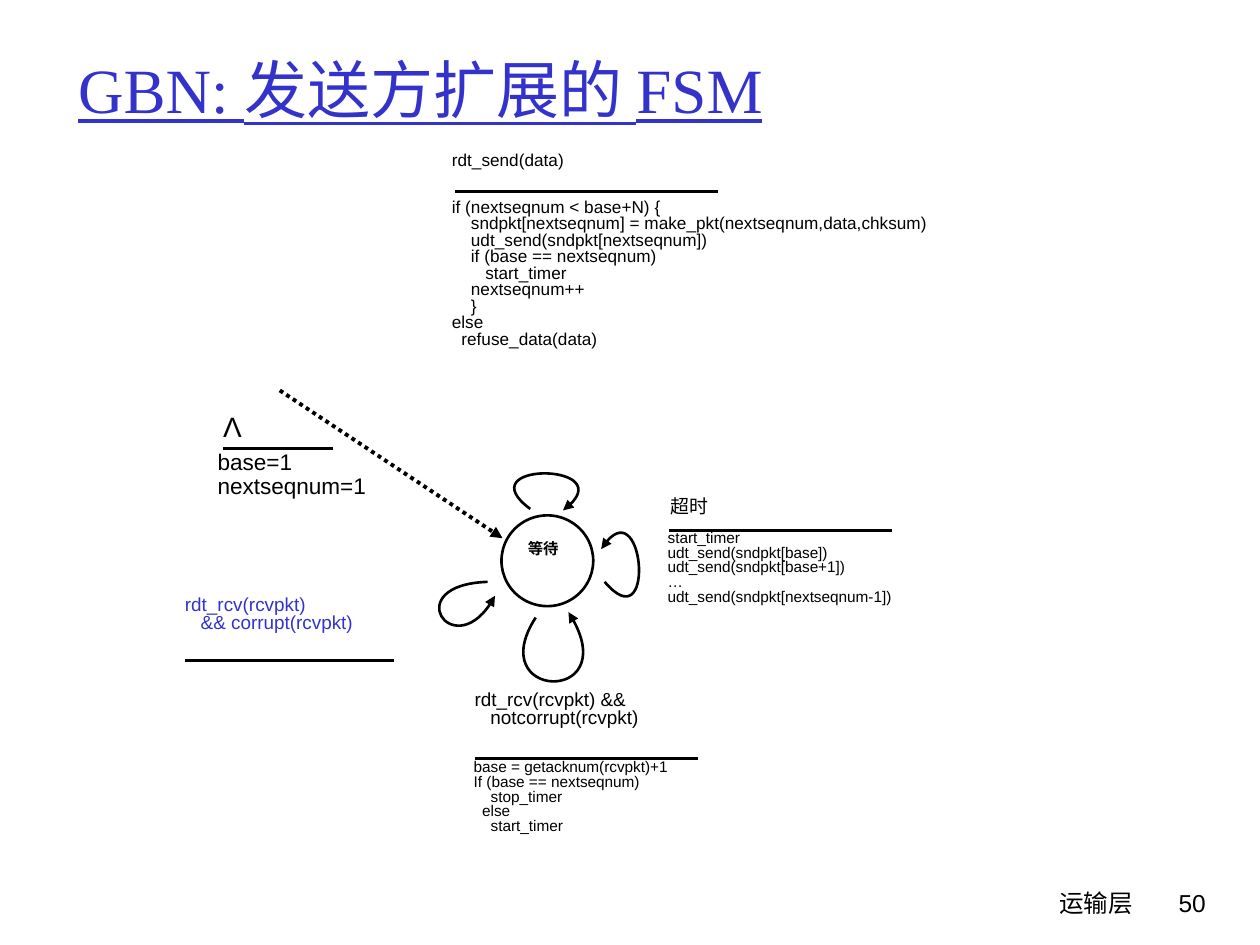
from dataclasses import dataclass

from pptx import Presentation
from pptx.dml.color import RGBColor
from pptx.enum.dml import MSO_LINE_DASH_STYLE as Dash
from pptx.enum.shapes import MSO_CONNECTOR_TYPE as Connector, MSO_SHAPE as Shape
from pptx.enum.text import MSO_ANCHOR as Anchor, MSO_AUTO_SIZE as AutoSize, PP_ALIGN as Align
from pptx.oxml.ns import qn
from pptx.oxml.xmlchemy import OxmlElement
from pptx.util import Cm, Pt

BLACK, BLUE, WHITE = "000000", "3333CC", "FFFFFF"
THIN, THICK = 1.5, 2.25


@dataclass
class Label:
    place: tuple  # left, top, width, height in cm
    text: str
    size: float
    color: str = BLACK
    font: str = "Arial"
    bold: bool = False
    underline: bool = False
    align: Align = Align.LEFT
    spacing: float = 0.8
    wrap: bool = True


@dataclass
class Rule:
    left: float
    right: float
    y: float
    weight: float = THIN


@dataclass
class Loop:
    start: tuple
    first_control: tuple
    second_control: tuple
    end: tuple


def rgb(value: str) -> RGBColor:
    return RGBColor.from_string(value)


def lengths(values: tuple) -> list:
    return [Cm(value) for value in values]


def write(box, label: Label) -> None:
    frame = box.text_frame
    frame.word_wrap = label.wrap
    frame.auto_size = AutoSize.NONE
    frame.text = label.text
    font_format = {"size": Pt(label.size), "name": label.font,
                   "bold": label.bold, "underline": label.underline}
    for para in frame.paragraphs:
        para.alignment = label.align
        para.line_spacing = label.spacing
        for span in para.runs:
            for name, value in font_format.items():
                setattr(span.font, name, value)
            span.font.color.rgb = rgb(label.color)


def add_label(page, label: Label) -> None:
    write(page.shapes.add_textbox(*lengths(label.place)), label)


def style_line(line, weight: float) -> None:
    line.color.rgb = rgb(BLACK)
    line.width = Pt(weight)


def add_arrowhead(line) -> None:
    head = OxmlElement("a:tailEnd")
    head.set("type", "triangle")
    line._get_or_add_ln().append(head)


def add_line(page, start: tuple, end: tuple, weight: float):
    line = page.shapes.add_connector(Connector.STRAIGHT, *lengths(start + end))
    style_line(line.line, weight)
    line._element.spPr.append(OxmlElement("a:effectLst"))
    return line


def add_loop(page, loop: Loop) -> None:
    corners = (loop.first_control, loop.second_control, loop.end)
    builder = page.shapes.build_freeform(*lengths(loop.start))
    builder.add_line_segments([lengths(point) for point in corners], close=False)
    curve = builder.convert_to_shape()

    # Turn the three segments into one cubic curve
    outline = next(curve._element.iter(qn("a:path")))
    cubic = OxmlElement("a:cubicBezTo")
    for segment in outline.findall(qn("a:lnTo")):
        cubic.append(segment[0])
        outline.remove(segment)
    outline.append(cubic)

    curve.shadow.inherit = False
    curve.fill.background()
    style_line(curve.line, THIN)
    add_arrowhead(curve.line)


TITLE = Label((1.32, 0.81, 21.59, 1.96), "GBN: 发送方扩展的 FSM", 36, BLUE,
              "Times New Roman", underline=True, spacing=1)

SEND_ACTIONS = """if (nextseqnum < base+N) {
    sndpkt[nextseqnum] = make_pkt(nextseqnum,data,chksum)
    udt_send(sndpkt[nextseqnum])
    if (base == nextseqnum)
       start_timer
    nextseqnum++
    }
else
  refuse_data(data)"""

TIMEOUT_ACTIONS = """start_timer
udt_send(sndpkt[base])
udt_send(sndpkt[base+1])
…
udt_send(sndpkt[nextseqnum-1])"""

ACK_ACTIONS = """base = getacknum(rcvpkt)+1
If (base == nextseqnum)
    stop_timer
  else
    start_timer"""

LABELS = [
    # Footer and slide number
    Label((15.04, 17.78, 8.05, 1.27), "运输层", 14, font="Comic Neue",
          align=Align.RIGHT, spacing=1),
    Label((22.68, 17.78, 1.88, 1.27), "50", 14, align=Align.RIGHT, spacing=1),
    # State name
    Label((9.83, 10.82, 2.24, 0.66), "等待", 8.8, bold=True, align=Align.CENTER),
    # Data to send
    Label((8.86, 2.97, 6.48, 0.71), "rdt_send(data)", 9.8),
    Label((8.86, 3.91, 15.34, 4.06), SEND_ACTIONS, 9.8),
    # Timeout
    Label((13.26, 9.93, 3.05, 0.76), "超时", 10.8),
    Label((13.21, 10.59, 7.72, 2.31), TIMEOUT_ACTIONS, 8.8),
    # Intact acknowledgement
    Label((9.32, 13.82, 7.87, 1.24), "rdt_rcv(rcvpkt) &&\n   notcorrupt(rcvpkt)", 10.8),
    Label((9.3, 15.21, 10.24, 2.31), ACK_ACTIONS, 8.8),
    # Corrupt acknowledgement
    Label((3.48, 11.91, 5.69, 1.24), "rdt_rcv(rcvpkt)\n   && corrupt(rcvpkt)", 10.8, BLUE),
    # Start
    Label((4.24, 8.13, 0.89, 0.94), "Λ", 16, align=Align.CENTER, spacing=1, wrap=False),
    Label((4.14, 8.97, 4.11, 1.4), "base=1\nnextseqnum=1", 12.9, spacing=0.9),
]

RULES = [
    Rule(9.17, 14.48, 3.86, THICK),
    Rule(13.49, 17.98, 10.69),
    Rule(9.58, 14.07, 15.29, THICK),
    Rule(3.73, 7.95, 13.31),
    Rule(4.5, 6.71, 9.04),
]

LOOPS = [
    Loop((10.69, 10.26), (9.42, 9.32), (12.65, 9.32), (11.35, 10.29)),  # send
    Loop((12.19, 11.73), (13.21, 12.93), (12.98, 9.73), (12.12, 11.07)),  # timeout
    Loop((10.8, 12.45), (9.73, 14.1), (12.67, 14.22), (11.46, 12.34)),  # intact
    Loop((9.83, 11.73), (8.05, 11.79), (9.19, 13.49), (9.98, 12.01)),  # corrupt
]


def main() -> None:
    deck = Presentation()
    deck.slide_width, deck.slide_height = Cm(25.4), Cm(19.05)
    page = deck.slides.add_slide(deck.slide_layouts[5])

    # Title
    title = page.shapes.title
    title.left, title.top, title.width, title.height = lengths(TITLE.place)
    write(title, TITLE)
    title.text_frame.vertical_anchor = Anchor.MIDDLE

    # Waiting state and the arrow into it
    state = page.shapes.add_shape(Shape.OVAL, *lengths((10.11, 10.39, 1.85, 1.83)))
    state.shadow.inherit = False
    state.fill.solid()
    state.fill.fore_color.rgb = rgb(WHITE)
    style_line(state.line, THIN)
    entry = add_line(page, (5.64, 7.87), (10.13, 10.85), THICK)
    entry.line.dash_style = Dash.ROUND_DOT
    add_arrowhead(entry.line)

    # Transitions
    for loop in LOOPS:
        add_loop(page, loop)
    for rule in RULES:
        add_line(page, (rule.left, rule.y), (rule.right, rule.y), rule.weight)
    for label in LABELS:
        add_label(page, label)

    deck.save("out.pptx")


if __name__ == "__main__":
    main()
